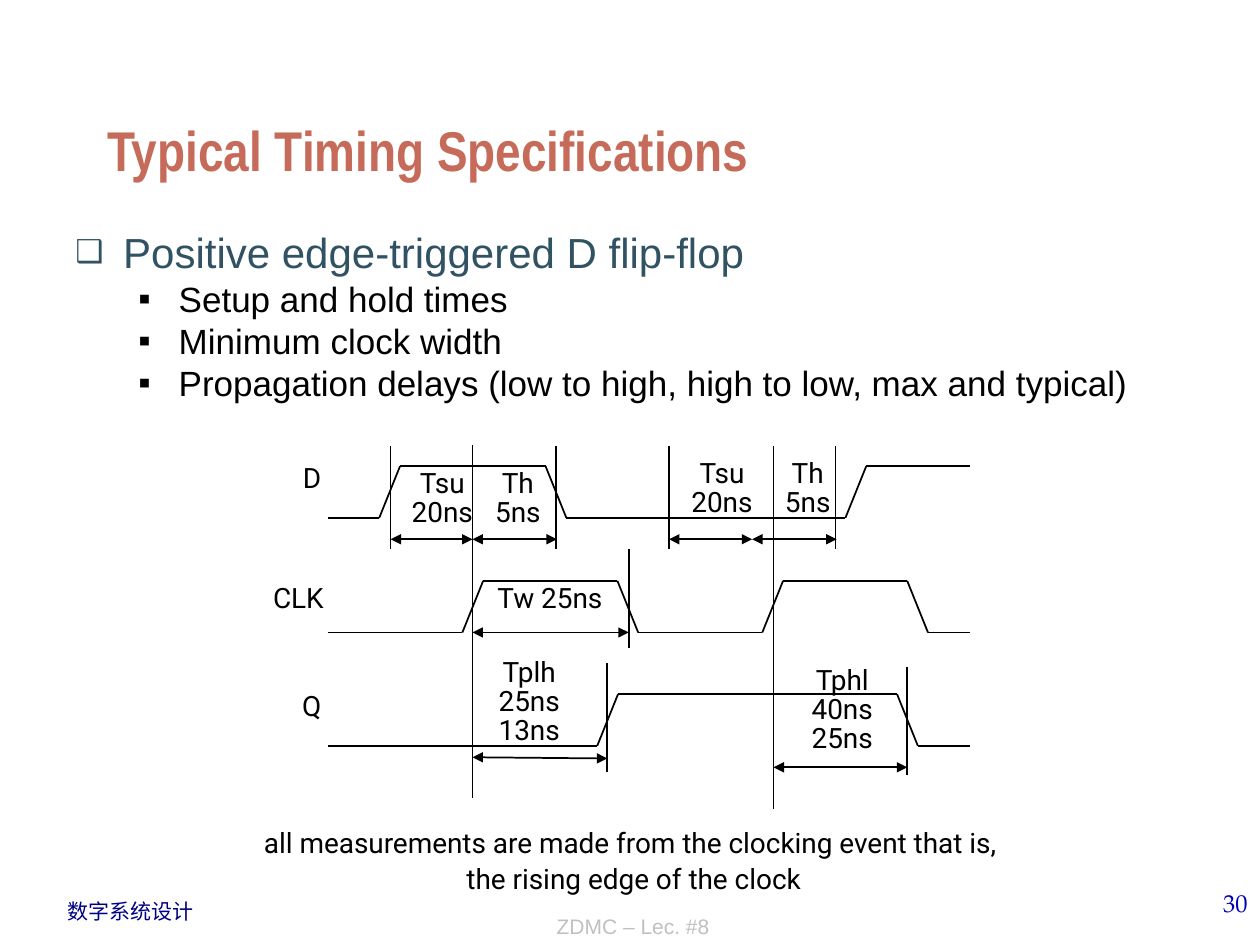
from itertools import pairwise

from pptx import Presentation
from pptx.dml.color import RGBColor
from pptx.enum.shapes import MSO_CONNECTOR as Connector
from pptx.enum.text import MSO_ANCHOR as Anchor, PP_ALIGN as Align
from pptx.oxml.ns import qn
from pptx.oxml.xmlchemy import OxmlElement
from pptx.util import Inches, Pt

BLACK = RGBColor(0x00, 0x00, 0x00)
CORAL = RGBColor(0xC6, 0x6B, 0x5A)
SLATE = RGBColor(0x31, 0x52, 0x63)
NAVY = RGBColor(0x00, 0x00, 0x82)
BLUE = RGBColor(0x00, 0x00, 0xB6)
SILVER = RGBColor(0xC0, 0xC0, 0xC0)


def write(para, text, font="Arial", size=16, color=BLACK, bold=False,
          align=Align.LEFT, spacing=None):
    """Fill a paragraph; a newline in the text becomes a line break."""
    para.text = text
    para.alignment = align
    if spacing:
        para.line_spacing = Pt(spacing)
    for span in para.runs:
        span.font.name = font
        span.font.size = Pt(size)
        span.font.bold = bold
        span.font.color.rgb = color


def add_child(parent, tag, **attributes):
    child = OxmlElement(tag)
    for name, value in attributes.items():
        child.set(name, str(value))
    parent.append(child)
    return child


def set_bullet(para, char, color, left, hanging, percent=100):
    props = para._p.get_or_add_pPr()
    props.set("marL", str(Inches(left)))
    props.set("indent", str(-Inches(hanging)))
    add_child(add_child(props, "a:buClr"), "a:srgbClr", val=color)
    add_child(props, "a:buSzPct", val=percent * 1000)
    add_child(props, "a:buFont", typeface="Arial")
    add_child(props, "a:buChar", char=char)


class TimingSlide:
    LABEL_FONT = "Roboto"
    LINE_WIDTH = Pt(1)
    WAVE_START, WAVE_END = 2.6, 7.7
    SWING, SLANT = 0.41, 0.165

    def __init__(self, page):
        self.page = page

    def title(self, text, left, top, width, height):
        box = self.page.shapes.title
        box.left, box.top = Inches(left), Inches(top)
        box.width, box.height = Inches(width), Inches(height)
        box.text_frame.vertical_anchor = Anchor.BOTTOM
        write(box.text_frame.paragraphs[0], text, font="Arial Narrow",
              size=32, color=CORAL, bold=True)

    def text(self, text, left, top, width, height, wrap=True,
             anchor=Anchor.TOP, margins=(0.1, 0.05), **style):
        box = self.page.shapes.add_textbox(
            Inches(left), Inches(top), Inches(width), Inches(height))
        frame = box.text_frame
        frame.word_wrap = wrap
        frame.vertical_anchor = anchor
        frame.margin_left = frame.margin_right = Inches(margins[0])
        frame.margin_top = frame.margin_bottom = Inches(margins[1])
        write(frame.paragraphs[0], text, **style)
        return frame

    def label(self, text, left, top, width, height, align=Align.CENTER,
              spacing=16.7):
        self.text(text, left, top, width, height, wrap=False,
                  margins=(0.02, 0.03), font=self.LABEL_FONT,
                  align=align, spacing=spacing)

    def bullets(self, heading, points, left, top, width, height):
        frame = self.text(heading, left, top, width, height,
                          size=24, color=SLATE)
        set_bullet(frame.paragraphs[0], "❑", SLATE, 0.38, 0.38, percent=75)
        for point in points:
            para = frame.add_paragraph()
            para.level = 1
            set_bullet(para, "▪", BLACK, 0.82, 0.32)
            write(para, point, size=20)

    def line(self, start, end, arrows=False):
        line = self.page.shapes.add_connector(
            Connector.STRAIGHT, *map(Inches, start + end))
        line.line.color.rgb = BLACK
        line.line.width = self.LINE_WIDTH
        props = line._element.spPr
        if arrows:
            outline = props.find(qn("a:ln"))
            add_child(outline, "a:headEnd", type="triangle")
            add_child(outline, "a:tailEnd", type="triangle")
        add_child(props, "a:effectLst")

    def wave(self, low, edges):
        """Draw a signal that starts low and toggles at each edge."""
        y = low
        corners = [(self.WAVE_START, y)]
        for edge in edges:
            corners.append((edge, y))
            y = low - self.SWING if y == low else low
            corners.append((edge + self.SLANT, y))
        corners.append((self.WAVE_END, y))
        for start, end in pairwise(corners):
            self.line(start, end)


def main():
    deck = Presentation()
    deck.slide_width, deck.slide_height = Inches(10), Inches(7.5)
    slide = TimingSlide(deck.slides.add_slide(deck.slide_layouts[5]))

    # Footer
    slide.text("数字系统设计", 0.44, 7.08, 1.2, 0.3, wrap=False,
               size=12, color=NAVY)
    slide.text("30", 7.92, 7, 2.08, 0.5, font="TeX Gyre Pagella", size=14,
               color=BLUE, align=Align.RIGHT)
    slide.text("ZDMC – Lec. #8", 2.59, 6.99, 4.87, 0.51, size=12,
               anchor=Anchor.BOTTOM, color=SILVER, align=Align.CENTER)

    # Title and bullets
    slide.title("Typical Timing Specifications", 0.75, 0.25, 8.5, 1.25)
    slide.bullets(
        "Positive edge-triggered D flip-flop",
        ["Setup and hold times",
         "Minimum clock width",
         "Propagation delays (low to high, high to low, max and typical)"],
        0.5, 1.75, 9.03, 4.88)

    # Signals: name, name box, low level, edges
    signals = [
        ("D", (1.97, 3.66, 0.6, 0.37), 4.11, (3.01, 4.33, 6.71)),
        ("CLK", (1.74, 4.61, 0.85, 0.37), 5.02, (3.67, 4.9, 6.05, 7.2)),
        ("Q", (1.94, 5.47, 0.63, 0.37), 5.92, (4.74, 7.12)),
    ]
    for name, place, low, edges in signals:
        slide.label(name, *place, align=Align.RIGHT)
        slide.wave(low, edges)

    # Vertical markers: x, top, bottom
    rise_1, rise_2 = 3.75, 6.14
    markers = [(rise_1, 3.53, 6.33), (rise_2, 3.54, 6.42),
               (4.99, 4.36, 5.14), (4.82, 5.26, 6.13), (7.2, 5.29, 6.15)]
    markers += [(x, 3.54, 4.36) for x in (3.1, 4.41, 5.31, 6.63)]
    for x, top, bottom in markers:
        slide.line((x, top), (x, bottom))

    # Measured intervals: left, right, left y, right y
    intervals = [(3.1, rise_1, 4.28, 4.28), (rise_1, 4.42, 4.28, 4.28),
                 (5.31, 5.97, 4.28, 4.28), (5.97, 6.64, 4.28, 4.28),
                 (rise_1, 4.99, 5.02, 5.02), (rise_1, 4.82, 6.01, 6.02),
                 (rise_2, 7.2, 6.09, 6.09)]
    for left, right, left_y, right_y in intervals:
        slide.line((left, left_y), (right, right_y), arrows=True)

    # Interval labels
    slide.label("Tsu\n20ns", 3.12, 3.7, 0.78, 0.63)
    slide.label("Th\n5ns", 3.67, 3.7, 0.88, 0.86)
    slide.label("Tsu\n20ns", 5.34, 3.62, 0.78, 0.63)
    slide.label("Th\n5ns", 5.97, 3.62, 0.88, 0.87)
    slide.label("Tw 25ns", 3.75, 4.61, 1.23, 0.63)
    slide.label("Tplh\n25ns\n13ns", 3.74, 5.2, 0.92, 0.87)
    slide.label("Tphl\n40ns\n25ns", 6.3, 5.26, 0.77, 0.86)

    # Caption
    slide.label("all measurements are made from the clocking event that is, \n"
                "the rising edge of the clock", 1.73, 6.5, 6.6, 0.71,
                spacing=20.8)

    deck.save("out.pptx")


if __name__ == "__main__":
    main()
